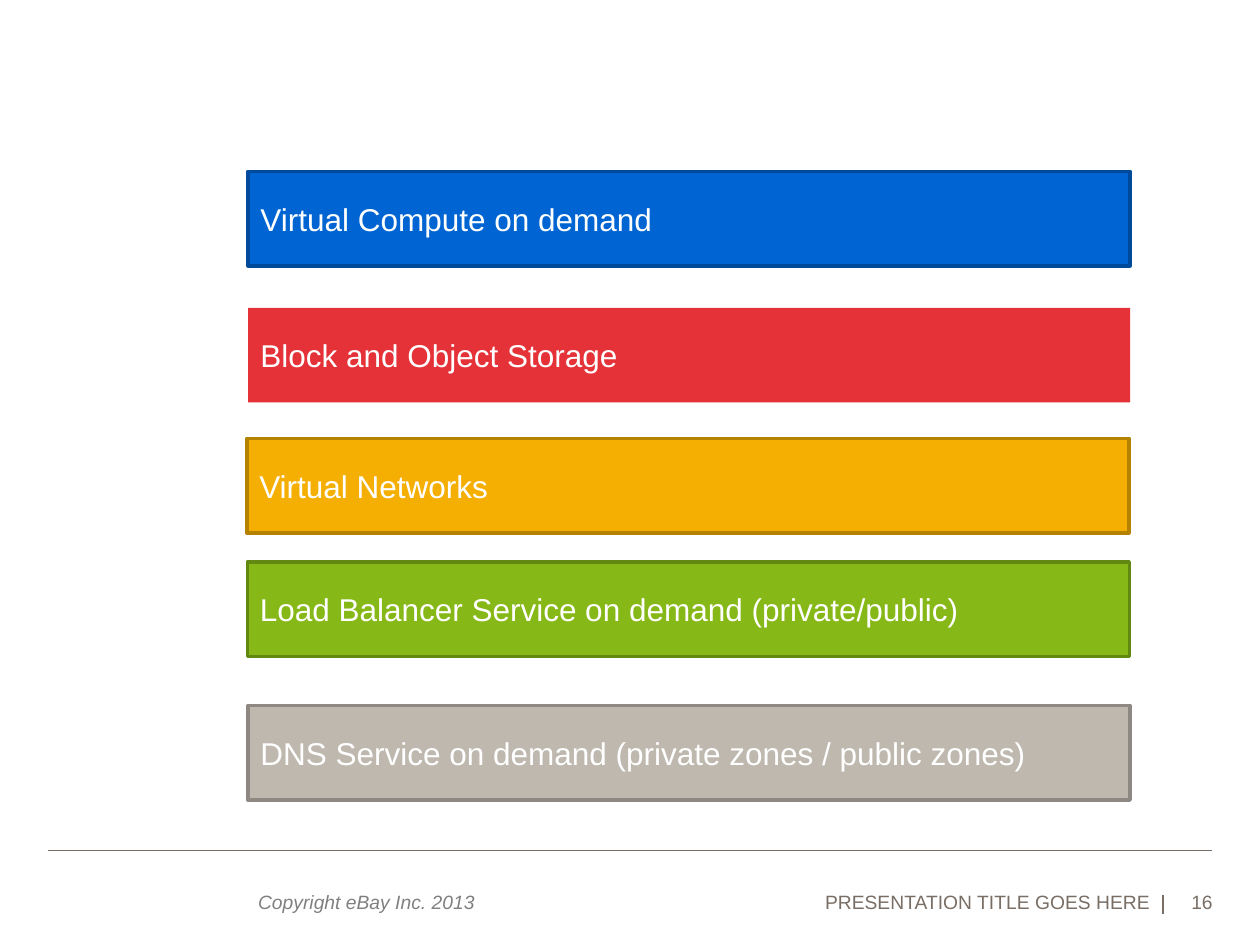
from lxml import etree
from pptx import Presentation
from pptx.dml.color import RGBColor
from pptx.enum.shapes import MSO_CONNECTOR, MSO_SHAPE
from pptx.enum.text import MSO_ANCHOR, PP_ALIGN
from pptx.oxml.ns import qn
from pptx.util import Pt

STRAIGHT = MSO_CONNECTOR.STRAIGHT
RECTANGLE = MSO_SHAPE.RECTANGLE
TOP, MIDDLE, BOTTOM = MSO_ANCHOR.TOP, MSO_ANCHOR.MIDDLE, MSO_ANCHOR.BOTTOM
LEFT, RIGHT = PP_ALIGN.LEFT, PP_ALIGN.RIGHT

BLANK_LAYOUT = 6
FONT = "Arial"
COLORS = {
    "white": "FFFFFF",
    "footer": "796E65",
    "copyright": "808080",
    "blue": "0064D2",
    "blue edge": "004A9B",
    "red": "E53238",
    "yellow": "F5AF02",
    "yellow edge": "B58101",
    "green": "86B817",
    "green edge": "638811",
    "grey": "BFB8AF",
    "grey edge": "8D8881",
}

BAR_WIDTH, BAR_HEIGHT = 504, 54
# Wording, left, top, fill, edge
SERVICES = [
    ("Virtual Compute on demand", 141.8, 97.9, "blue", "blue edge"),
    ("Block and Object Storage", 141.8, 175.9, "red", None),
    ("Virtual Networks", 141.1, 250.6, "yellow", "yellow edge"),
    ("Load Balancer Service on demand (private/public)",
     141.4, 321.1, "green", "green edge"),
    ("DNS Service on demand (private zones / public zones)",
     141.8, 403.2, "grey", "grey edge"),
]


def color(name):
    return RGBColor.from_string(COLORS[name])


def write(frame, text, size, color_name, align=LEFT, anchor=TOP, italic=False):
    frame.vertical_anchor = anchor
    para = frame.paragraphs[0]
    para.text = text
    para.alignment = align
    para.font.name = FONT
    para.font.size = Pt(size)
    para.font.italic = italic
    para.font.color.rgb = color(color_name)


def add_rule(page, x1, y1, x2, y2):
    rule = page.shapes.add_connector(STRAIGHT, Pt(x1), Pt(y1), Pt(x2), Pt(y2))
    rule.line.color.rgb = color("footer")
    rule.line.width = Pt(1)
    etree.SubElement(rule._element.spPr, qn("a:effectLst"))


def add_bar(page, text, left, top, fill, edge):
    bar = page.shapes.add_shape(
        RECTANGLE, Pt(left), Pt(top), Pt(BAR_WIDTH), Pt(BAR_HEIGHT))
    bar.shadow.inherit = False
    bar.fill.solid()
    bar.fill.fore_color.rgb = color(fill)
    if edge:
        bar.line.color.rgb = color(edge)
        bar.line.width = Pt(2)
    else:
        bar.line.fill.background()
    bar.text_frame.word_wrap = True
    write(bar.text_frame, text, 18, "white", anchor=MIDDLE)


def add_text_box(page, left, top, width, height):
    box = page.shapes.add_textbox(Pt(left), Pt(top), Pt(width), Pt(height))
    return box.text_frame


def add_footer_text(page, text, left, top, width, height):
    frame = add_text_box(page, left, top, width, height)
    frame.word_wrap = True
    frame.margin_left = frame.margin_right = frame.margin_bottom = 0
    write(frame, text, 11, "footer", align=RIGHT, anchor=BOTTOM)


def main():
    deck = Presentation()
    deck.slide_width, deck.slide_height = Pt(720), Pt(540)
    page = deck.slides.add_slide(deck.slide_layouts[BLANK_LAYOUT])

    # Footer
    add_rule(page, 27.5, 486, 692.5, 486)
    add_rule(page, 664.5, 511.2, 664.5, 522)
    copyright_frame = add_text_box(page, 140.4, 505.4, 141.8, 20.9)
    copyright_frame.word_wrap = False
    write(copyright_frame, "Copyright eBay Inc. 2013", 11, "copyright", italic=True)
    add_footer_text(page, "PRESENTATION TITLE GOES HERE", 393.8, 501.8, 263.5, 20.2)
    add_footer_text(page, "16", 664.5, 502.5, 28.5, 19.5)

    # Service bars
    for service in SERVICES:
        add_bar(page, *service)

    deck.save("out.pptx")


if __name__ == "__main__":
    main()
